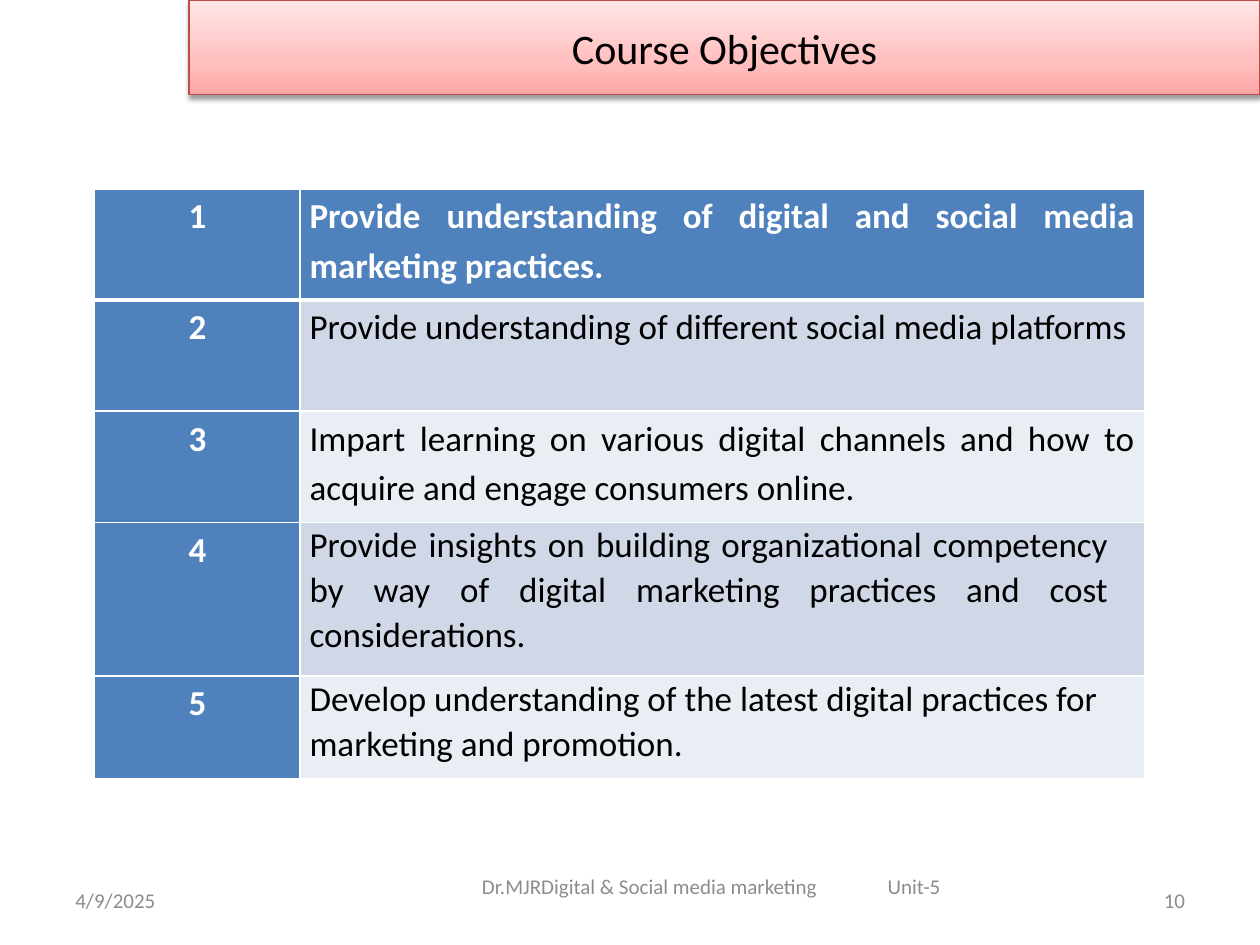
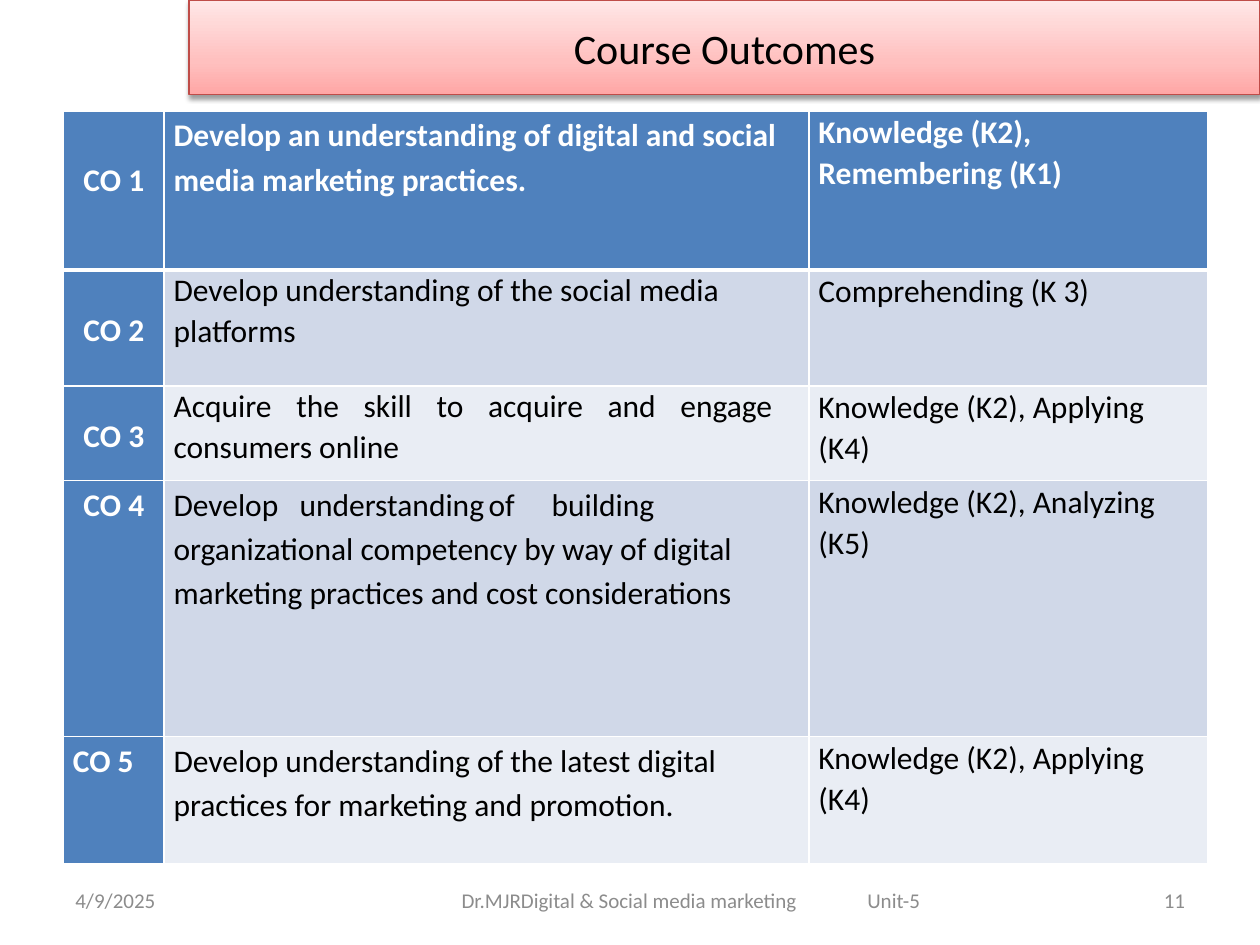
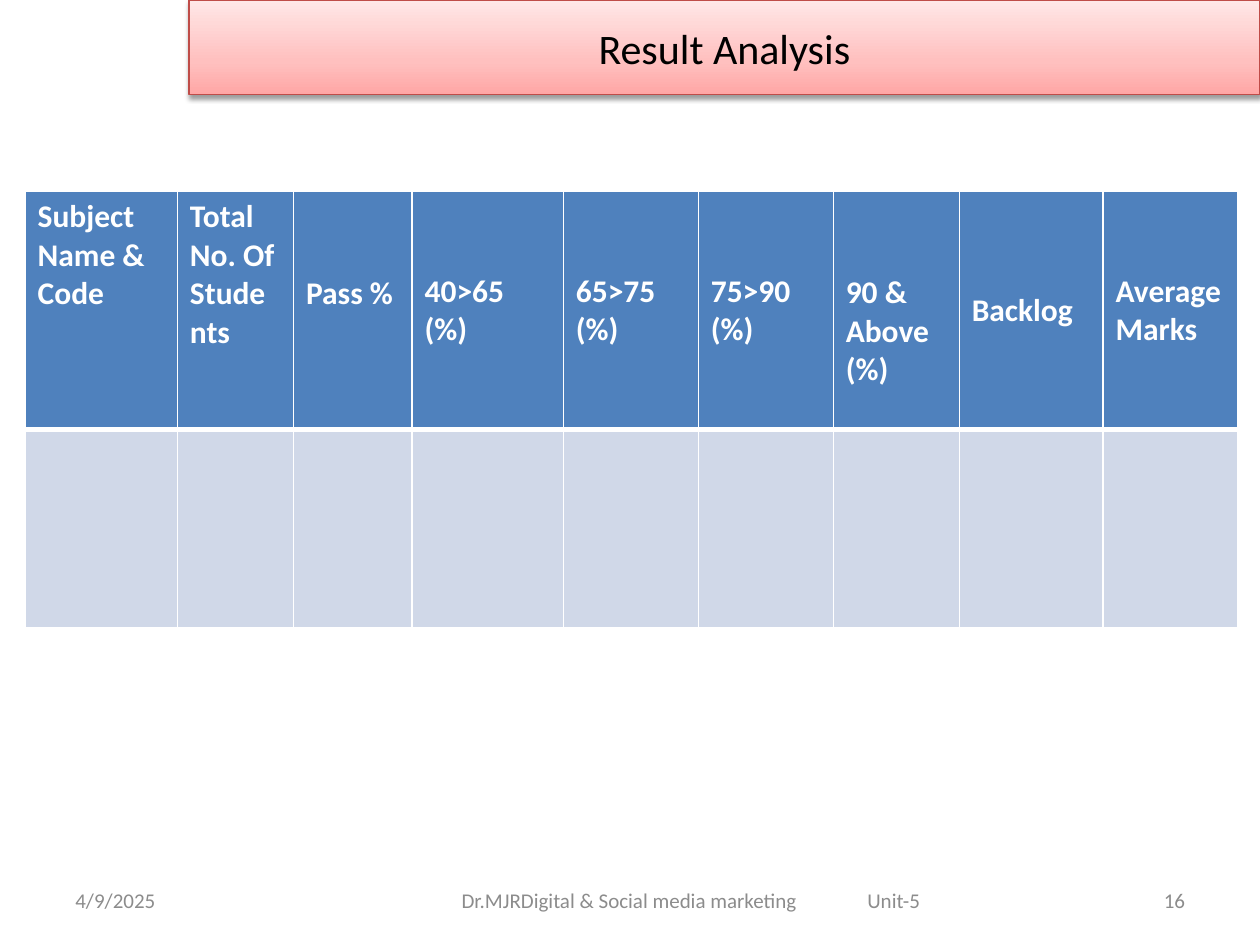
from lxml import etree
from pptx import Presentation
from pptx.dml.color import RGBColor
from pptx.enum.shapes import MSO_SHAPE
from pptx.enum.text import MSO_ANCHOR, PP_ALIGN
from pptx.oxml import parse_xml
from pptx.oxml.ns import nsdecls, qn
from pptx.util import Cm, Pt

FONT = "Calibri"
COLORS = {
    "head": "4F81BD", "band_dark": "D0D8E8", "band_light": "E9EDF4",
    "white": "FFFFFF", "black": "000000", "footer": "8C8C8C",
    "title_line": "BF4C48", "title_low": "FFA6A5",
    "title_mid": "FFC0BF", "title_high": "FFE7E7",
}
LEFT, CENTER, RIGHT, JUSTIFY = (
    PP_ALIGN.LEFT, PP_ALIGN.CENTER, PP_ALIGN.RIGHT, PP_ALIGN.JUSTIFY)
MIDDLE = MSO_ANCHOR.MIDDLE

# Content: a cell is its text, or (text, settings that differ from its column)
DATE = "4/9/2025"
FOOTER = "Dr.MJRDigital & Social media marketing\tUnit-5"
NARROW = {"side": 0.19, "top": 0}

SLIDES = [
    {
        "title": "Course Objectives", "number": "10",
        "footer_box": (7.82, 17.35, 13.13),
        "at": (1.91, 3.81), "size": 20, "row_heads": True,
        "widths": [4.14, 17.02], "heights": [2.24, 2.24, 2.24, 3.1, 2.06],
        "columns": [
            {**NARROW, "align": CENTER, "spacing": 1.15},
            {**NARROW, "align": JUSTIFY, "spacing": 1.15},
        ],
        "rows": [
            ["1", "Provide understanding of digital and social media marketing practices."],
            ["2", "Provide understanding of different social media platforms"],
            ["3", "Impart learning on various digital channels and how to acquire "
                  "and engage consumers online."],
            ["4", ("Provide insights on building organizational competency by way of "
                   "digital marketing practices and cost considerations.",
                   {"spacing": 1.05, "right": 0.73})],
            ["5", ("Develop understanding of the latest digital practices for "
                   "marketing and promotion.", {"spacing": 1.05, "align": LEFT})],
        ],
    },
    {
        "title": "Course Outcomes", "number": "11",
        "footer_box": (6.99, 17.65, 13.97),
        "at": (1.28, 2.24), "size": 18, "row_heads": True,
        "widths": [2.03, 13, 8.03], "heights": [3.2, 2.34, 1.91, 5.16, 2.57],
        "columns": [
            {**NARROW, "align": CENTER, "spacing": 1.15},
            {**NARROW, "spacing": 1.15},
            {**NARROW, "spacing": 1.07},
        ],
        "rows": [
            [("CO 1", {"top": 0.89}),
             "Develop an understanding of digital and social media marketing practices.",
             "Knowledge (K2), Remembering (K1)"],
            [("CO 2", {"anchor": MIDDLE}),
             ("Develop understanding of the social media platforms", {"spacing": 1.05}),
             "Comprehending (K 3)"],
            [("CO 3", {"anchor": MIDDLE}),
             ("Acquire the skill to acquire and engage consumers online",
              {"spacing": 1.05, "align": JUSTIFY, "right": 0.73}),
             "Knowledge (K2), Applying (K4)"],
            ["CO 4",
             "Develop\tunderstanding\tof\tbuilding organizational competency by way of "
             "digital marketing practices and cost considerations",
             "Knowledge (K2), Analyzing (K5)"],
            [("CO 5", {"align": LEFT}),
             "Develop understanding of the latest digital practices for marketing "
             "and promotion.",
             "Knowledge (K2), Applying (K4)"],
        ],
    },
    {
        "title": "Result Analysis", "number": "16",
        "footer_box": (6.99, 17.65, 13.97),
        "at": (0.51, 3.86), "size": 18, "row_heads": False,
        "widths": [3.07, 2.34, 2.39, 3.05, 2.72, 2.72, 2.54, 2.9, 2.72],
        "heights": [4.8, 4],
        "columns": [{}, {}, {"top": 1.68}] + [{"anchor": MIDDLE}] * 3
                   + [{"anchor": MIDDLE, "top": 0.97}] + [{"anchor": MIDDLE}] * 2,
        "rows": [
            ["Subject Name & Code", "Total No. Of Students", "Pass %", "40>65 (%)",
             "65>75 (%)", "75>90\n(%)", "90 & Above (%)", "Backlog", "Average Marks"],
            [""] * 9,
        ],
    },
]


def rgb(name):
    return RGBColor.from_string(COLORS[name])


def write(tf, text, size, color, align=LEFT, bold=False, spacing=1.0):
    tf.word_wrap = True
    tf.text = text
    for p in tf.paragraphs:
        p.alignment, p.line_spacing = align, spacing
        p.font.name, p.font.size, p.font.bold = FONT, Pt(size), bold
        p.font.color.rgb = rgb(color)


# Title band
def add_title(s, text):
    band = s.shapes.add_shape(MSO_SHAPE.RECTANGLE, Cm(3.81), 0, Cm(21.59), Cm(1.91))
    band.line.color.rgb = rgb("title_line")
    band.line.width = Pt(0.75)
    stops = "".join(
        f'<a:gs pos="{pos * 1000}"><a:srgbClr val="{COLORS[name]}"/></a:gs>'
        for pos, name in [(0, "title_low"), (35, "title_mid"), (100, "title_high")])
    sp_pr = band._element.spPr
    sp_pr.find(qn("a:prstGeom")).addnext(parse_xml(
        f'<a:gradFill {nsdecls("a")} rotWithShape="1"><a:gsLst>{stops}</a:gsLst>'
        '<a:lin ang="16200000" scaled="0"/></a:gradFill>'))
    sp_pr.append(parse_xml(
        f'<a:effectLst {nsdecls("a")}><a:outerShdw blurRad="{Pt(3.1)}" dist="{Pt(1.6)}" '
        f'dir="5400000" rotWithShape="0"><a:srgbClr val="{COLORS["black"]}">'
        '<a:alpha val="38000"/></a:srgbClr></a:outerShdw></a:effectLst>'))
    write(band.text_frame, text, 24, "black", CENTER)
    band.text_frame.vertical_anchor = MIDDLE


# Date, course name and slide number
def add_footers(s, number, footer_box):
    def add_note(text, x, y, width, align=LEFT):
        tf = s.shapes.add_textbox(Cm(x), Cm(y), Cm(width), Cm(1.01)).text_frame
        write(tf, text, 12, "footer", align)
        tf.vertical_anchor = MIDDLE
        return tf

    add_note(DATE, 1.27, 17.65, 5.93)
    tf = add_note(FOOTER, *footer_box)
    tf.margin_left = Cm(footer_box[2] / 2 - 4.67)
    p_pr = tf.paragraphs[0]._p.get_or_add_pPr()
    tabs = etree.SubElement(p_pr, qn("a:tabLst"))
    etree.SubElement(tabs, qn("a:tab"), pos=str(Cm(8.18)), algn="l")
    # Tab stops come before the default run properties
    p_pr.find(qn("a:defRPr")).addprevious(tabs)
    add_note(number, 18.21, 17.65, 5.93, RIGHT)


# Tables
def set_borders(cell, row):
    widths = {"lnL": 1, "lnR": 1, "lnT": 3 if row == 1 else 1, "lnB": 3 if row == 0 else 1}
    tc_pr = cell._tc.get_or_add_tcPr()
    for i, (side, width) in enumerate(widths.items()):
        tc_pr.insert(i, parse_xml(
            f'<a:{side} {nsdecls("a")} w="{Pt(width)}"><a:solidFill>'
            f'<a:srgbClr val="{COLORS["white"]}"/></a:solidFill></a:{side}>'))


def add_grid(s, spec):
    widths, heights = spec["widths"], spec["heights"]
    x, y = spec["at"]
    table = s.shapes.add_table(len(heights), len(widths), Cm(x), Cm(y),
                               Cm(sum(widths)), Cm(sum(heights))).table
    for column, width in zip(table.columns, widths):
        column.width = Cm(width)
    for row, height in zip(table.rows, heights):
        row.height = Cm(height)
    for i, row in enumerate(spec["rows"]):
        for j, item in enumerate(row):
            text, changes = (item, {}) if isinstance(item, str) else item
            look = {**spec["columns"][j], **changes}
            is_head = i == 0 or (spec["row_heads"] and j == 0)
            cell = table.cell(i, j)
            cell.fill.solid()
            cell.fill.fore_color.rgb = rgb(
                "head" if is_head else "band_dark" if i % 2 else "band_light")
            side = look.get("side", 0.25)
            cell.margin_left = Cm(side)
            cell.margin_right = Cm(look.get("right", side))
            cell.margin_top = Cm(look.get("top", 0.13))
            cell.margin_bottom = Cm(0 if side < 0.25 else 0.13)
            cell.vertical_anchor = look.get("anchor", MSO_ANCHOR.TOP)
            write(cell.text_frame, text, spec["size"], "white" if is_head else "black",
                  look.get("align", LEFT), is_head, look.get("spacing", 1.0))
            set_borders(cell, i)


def main():
    prs = Presentation()
    prs.slide_width, prs.slide_height = Cm(25.4), Cm(19.05)
    for spec in SLIDES:
        s = prs.slides.add_slide(prs.slide_layouts[6])
        add_footers(s, spec["number"], spec["footer_box"])
        add_title(s, spec["title"])
        add_grid(s, spec)
    prs.save("out.pptx")


if __name__ == "__main__":
    main()
